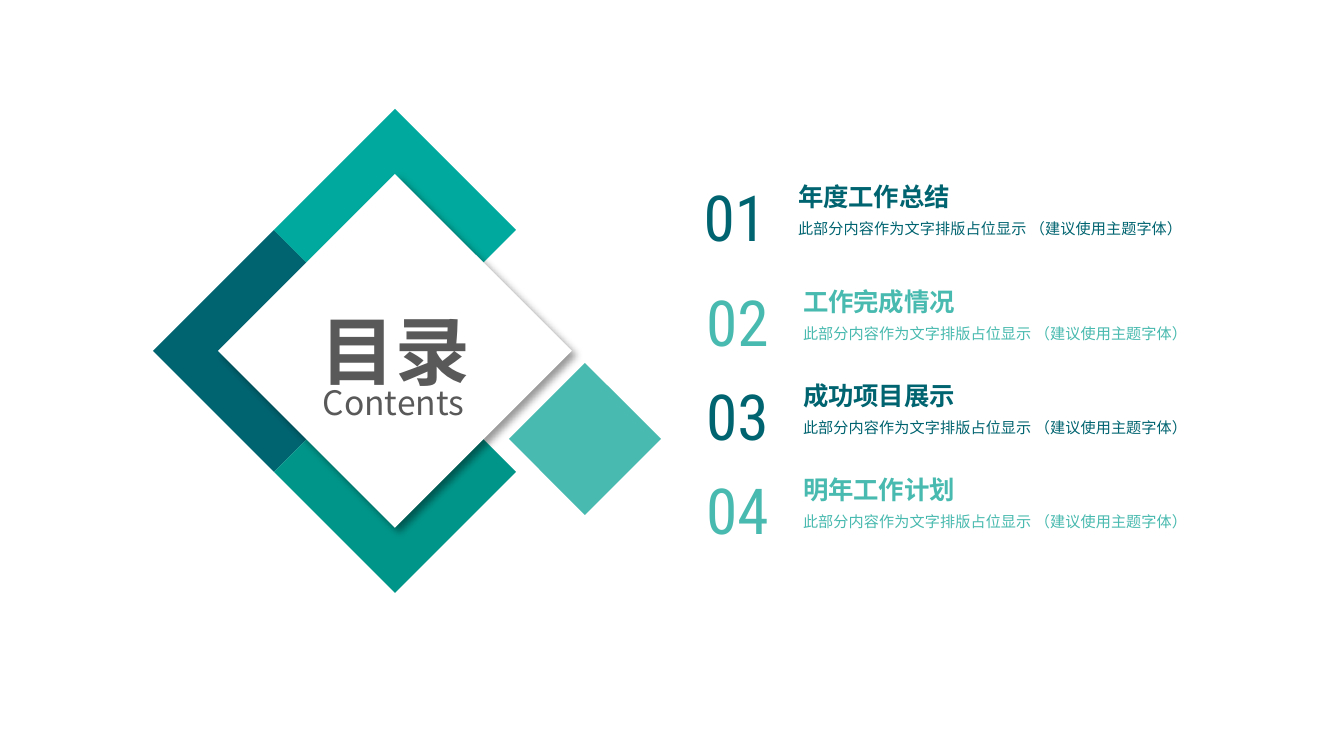
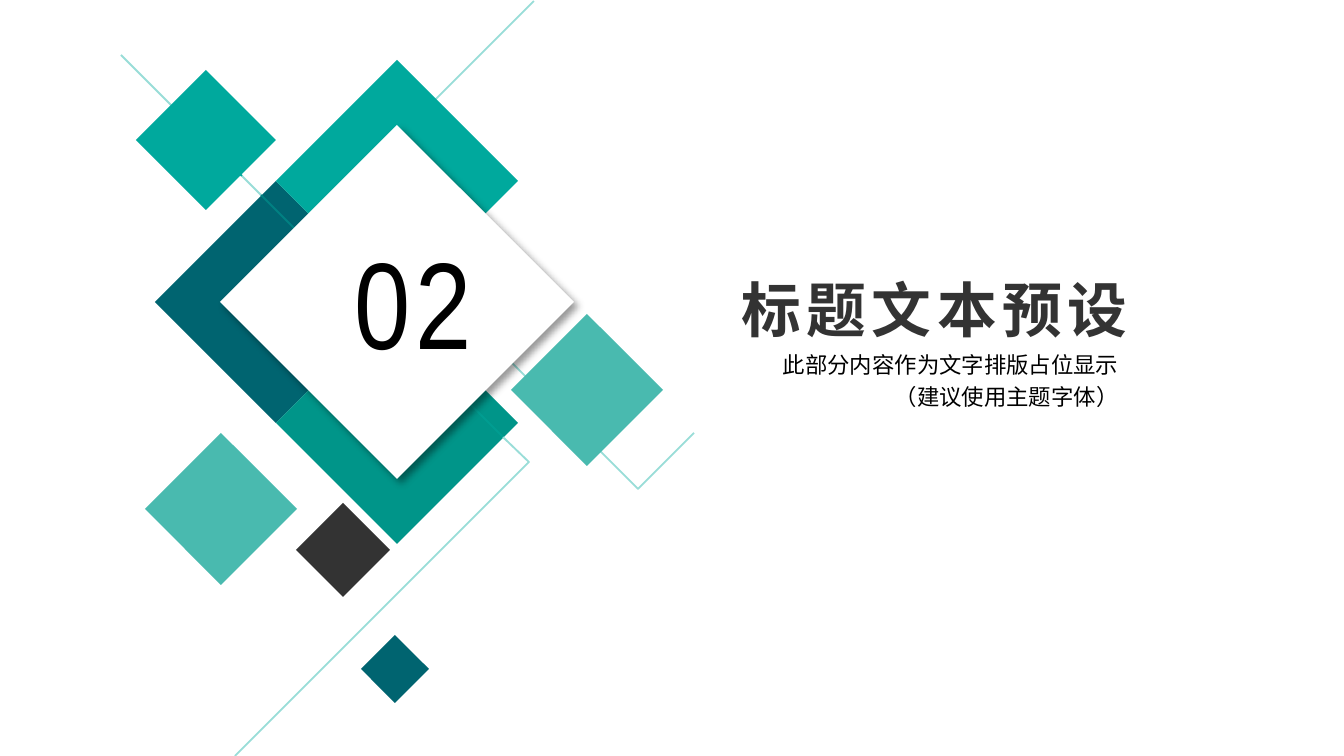
from lxml.etree import SubElement
from pptx import Presentation
from pptx.dml.color import RGBColor
from pptx.enum.text import MSO_ANCHOR, MSO_AUTO_SIZE, PP_ALIGN
from pptx.oxml.ns import qn
from pptx.util import Emu, Pt

SCALE = 914400 / 134.4
COLORS = {
    "deep": "006470", "teal": "00A99D", "green": "009589", "mint": "49BAAF",
    "pale": "99DDD8", "deep_line": "008082", "green_line": "009D91",
    "white": "FFFFFF", "gray": "595959", "charcoal": "333333", "black": "000000",
}
CJK = "Noto Sans CJK SC"
PLACEHOLDER = "此部分内容作为文字排版占位显示"
HINT = " （建议使用主题字体）"
AGENDA = [
    ("年度工作总结", 177, 74, "deep"),
    ("工作完成情况", 282, 79, "mint"),
    ("成功项目展示", 376, 79, "deep"),
    ("明年工作计划", 470, 79, "mint"),
]


def px(value):
    """Turn pixels into EMU."""
    return Emu(round(value * SCALE))


def rgb(name):
    """Look up a named colour."""
    return RGBColor.from_string(COLORS[name])


def add_text(page, box, text, size, color="black", font=CJK, bold=False,
             align=PP_ALIGN.LEFT, anchor=MSO_ANCHOR.TOP, inset=None,
             wrap=True, grow=False, spacing=None, line_spacing=None):
    """Place one paragraph of formatted text in a box of pixels."""
    shape = page.shapes.add_textbox(*map(px, box))
    frame = shape.text_frame
    frame.word_wrap = wrap
    frame.auto_size = MSO_AUTO_SIZE.SHAPE_TO_FIT_TEXT if grow else MSO_AUTO_SIZE.NONE
    frame.vertical_anchor = anchor
    if inset is not None:
        frame.margin_left = px(inset)
        frame.margin_top = frame.margin_right = frame.margin_bottom = 0
    para = frame.paragraphs[0]
    para.text = text
    para.alignment = align
    if line_spacing:
        para.line_spacing = line_spacing
    for span in para.runs:
        span.font.size = Pt(size)
        span.font.name = font
        span.font.bold = bold
        span.font.color.rgb = rgb(color)
        properties = span.font._element
        SubElement(properties, qn("a:ea")).set("typeface", font)
        if spacing:
            properties.set("spc", str(spacing * 100))


def add_outline(page, points, close):
    """Build a freeform through points given in pixels."""
    builder = page.shapes.build_freeform(*points[0], scale=SCALE)
    builder.add_line_segments(points[1:], close=close)
    shape = builder.convert_to_shape()
    shape.shadow.inherit = False
    return shape


def add_diamond(page, x, y, radius, color):
    """Draw a filled diamond around a centre."""
    corners = [(x + radius, y), (x, y + radius), (x - radius, y), (x, y - radius)]
    shape = add_outline(page, corners, True)
    shape.fill.solid()
    shape.fill.fore_color.rgb = rgb(color)
    shape.line.fill.background()
    return shape


def add_polyline(page, points, color):
    """Draw a thin open line through points."""
    shape = add_outline(page, points, False)
    shape.fill.background()
    shape.line.color.rgb = rgb(color)
    shape.line.width = Pt(1)


def add_shadow(shape):
    """Give a shape a soft shadow to the lower right."""
    effects = shape._element.spPr.find(qn("a:effectLst"))
    shadow = SubElement(effects, qn("a:outerShdw"), blurRad=str(Pt(4)),
                        dist=str(Pt(3)), dir="2700000", algn="tl", rotWithShape="0")
    tint = SubElement(shadow, qn("a:srgbClr"), val=COLORS["black"])
    SubElement(tint, qn("a:alpha"), val="40000")


def emblem_arms(page, box):
    """Draw the three coloured arms behind the emblem face."""
    x, y, reach = box[0] + box[3] // 2, box[1] + box[3] // 2, box[3] // 4
    add_diamond(page, x - reach, y, reach, "deep")
    add_diamond(page, x, y - reach, reach, "teal")
    add_diamond(page, x, y + reach, reach, "green")


def emblem_face(page, box):
    """Draw the white face and the satellite diamond."""
    x, y = box[0] + box[3] // 2, box[1] + box[3] // 2
    add_shadow(add_diamond(page, x, y, 177, "white"))
    add_diamond(page, x + 190, y + 88, 76, "mint")


def agenda_row(page, box, number, title, number_width, color):
    """Write a number, a heading and a description."""
    left, top, width, height = box
    text_left = left + number_width - 26
    add_text(page, (left, top, number_width, height), number, 34, color,
             "Roboto Condensed", align=PP_ALIGN.CENTER,
             anchor=MSO_ANCHOR.MIDDLE, wrap=False)
    add_text(page, (text_left, top + 8, width, 27), title, 13.6, color,
             bold=True, anchor=MSO_ANCHOR.BOTTOM, inset=52, wrap=False)
    add_text(page, (text_left, top + 34, width, 35), PLACEHOLDER + HINT, 8.1,
             color, anchor=MSO_ANCHOR.MIDDLE, inset=52)


def section_lines(page, box):
    """Draw the thin lines that cross the emblem."""
    routes = [
        ("pale", [(303, 274), (517, 488), (573, 432)]),
        ("pale", [(413, 0), (315, 98)]),
        ("teal", [(315, 98), (222, 192), (303, 274)]),
        ("pale", [(382, 436), (408, 461), (114, 755)]),
        ("pale", [(0, 54), (50, 104)]),
        ("pale", [(121, 175), (140, 194)]),
        ("deep_line", [(140, 194), (261, 315)]),
        ("teal", [(50, 104), (121, 175)]),
        ("green_line", [(261, 315), (382, 436)]),
    ]
    for color, points in routes:
        add_polyline(page, [(box[0] + x, box[1] + y) for x, y in points], color)


def section_diamonds(page, box):
    """Scatter the small diamonds around the emblem."""
    for x, y, radius, color in [(85, 139, 70, "teal"), (222, 549, 47, "charcoal"),
                                (100, 508, 76, "mint"), (274, 668, 34, "deep")]:
        add_diamond(page, box[0] + x, box[1] + y, radius, color)


def section_heading(page, box):
    """Write the section title and its description."""
    left, top, width, height = box
    add_text(page, (left + 37, top + 73, 367, 77), PLACEHOLDER + "\v" + HINT, 12,
             align=PP_ALIGN.RIGHT, wrap=False, grow=True, line_spacing=1.2)
    add_text(page, (left, top, width, 86), "标题文本预设", 32, "charcoal",
             bold=True, grow=True, spacing=3)


def contents_slide(page):
    """Compose the table of contents."""
    emblem = (153, 109, 508, 484)
    emblem_arms(page, emblem)
    emblem_face(page, emblem)
    for index, (title, top, number_width, color) in enumerate(AGENDA, 1):
        agenda_row(page, (698, top, 437, 78), f"{index:02}", title, number_width, color)
    left, top = emblem[:2]
    add_text(page, (left + 141, top + 257, 199, 56), "Contents", 18, "gray",
             align=PP_ALIGN.CENTER, anchor=MSO_ANCHOR.BOTTOM, inset=0)
    add_text(page, (left + 143, top + 189, 199, 102), "目录", 40, "gray",
             bold=True, align=PP_ALIGN.CENTER)


def section_slide(page):
    """Compose the section opener."""
    emblem, scene = (155, 60, 508, 484), (121, 1, 574, 755)
    section_heading(page, (728, 266, 683, 150))
    emblem_arms(page, emblem)
    section_diamonds(page, scene)
    section_lines(page, scene)
    emblem_face(page, emblem)
    add_text(page, (emblem[0] + 186, emblem[1] + 160, 159, 163), "02", 66,
             font="Arial Narrow", grow=True, spacing=3)


deck = Presentation()
deck.slide_width, deck.slide_height = px(1344), px(756)
for compose in (contents_slide, section_slide):
    compose(deck.slides.add_slide(deck.slide_layouts[6]))
deck.save("out.pptx")
